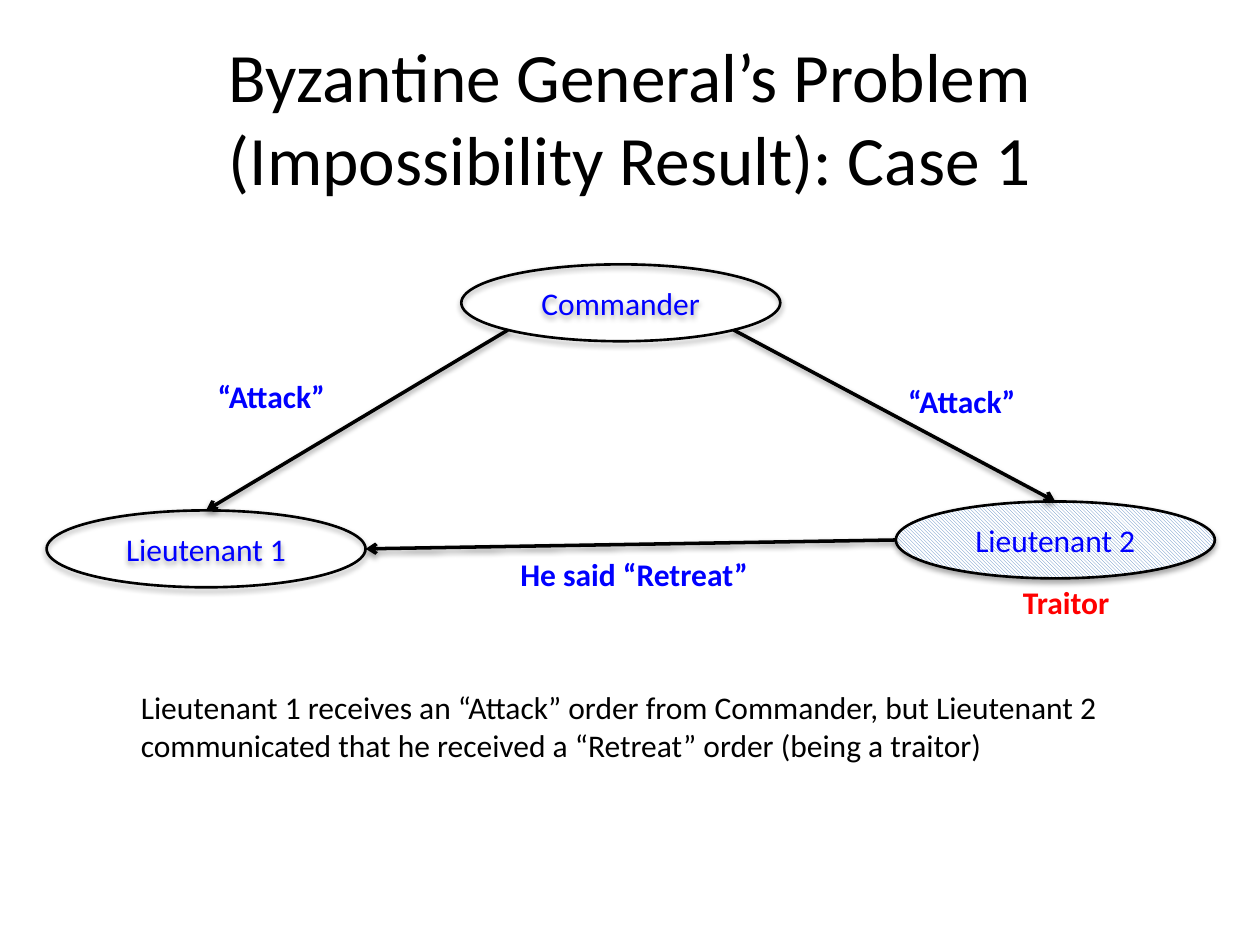
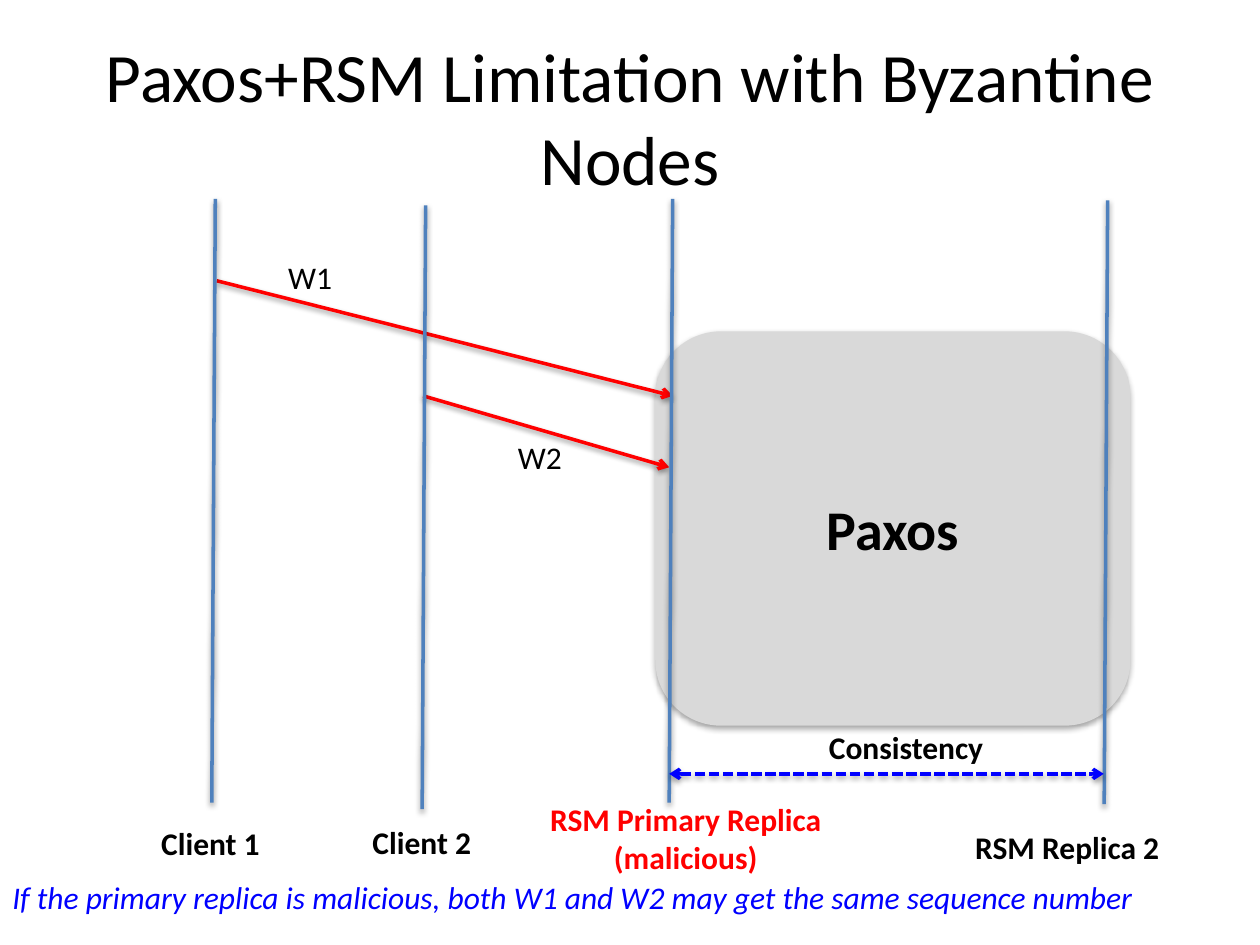
import lxml.etree
import pptx
import pptx.dml.color
import pptx.enum.dml
import pptx.enum.shapes
import pptx.enum.text
import pptx.oxml.ns
import pptx.util

Cm = pptx.util.Cm
Pt = pptx.util.Pt
ALIGN = pptx.enum.text.PP_ALIGN
ANCHOR = pptx.enum.text.MSO_ANCHOR
SHAPE = pptx.enum.shapes.MSO_SHAPE
qn = pptx.oxml.ns.qn

FONT = "Calibri"
COLORS = {
    "black": "000000",
    "white": "FFFFFF",
    "blue": "0000FF",
    "red": "FF0000",
    "steel": "4F81BD",
    "gray": "D9D9D9",
}
OVAL_SIZE = (6.43, 1.55)
OVAL_DIAGONAL = 0.146  # bounding-box fraction where an oval meets its 45° point
LIFELINE_LENGTH = 12.17
LIFELINE_SLANT = 0.07
SHAPE_SHADOW = {"dist": 23000, "alpha": 35000}
LINE_SHADOW = {"dist": 20000, "alpha": 38000}


def rgb(color):
    return pptx.dml.color.RGBColor.from_string(COLORS[color])


def add_shadow(element, dist, alpha):
    """Give a shape or connector element a soft shadow straight below it."""
    properties = element.spPr
    effects = properties.find(qn("a:effectLst"))
    if effects is None:
        effects = lxml.etree.SubElement(properties, qn("a:effectLst"))
    shadow = lxml.etree.SubElement(
        effects, qn("a:outerShdw"), blurRad="40000", dist=str(dist), dir="5400000", rotWithShape="0"
    )
    shade = lxml.etree.SubElement(shadow, qn("a:srgbClr"), val=COLORS["black"])
    lxml.etree.SubElement(shade, qn("a:alpha"), val=str(alpha))


def write_text(shape, text, color="black", align=ALIGN.LEFT, size=18, **font_values):
    """Fill a shape with text; each line of it becomes a paragraph."""
    shape.text_frame.text = text
    values = {"name": FONT, "size": Pt(size), **font_values}
    for paragraph in shape.text_frame.paragraphs:
        paragraph.alignment = align
        for run in paragraph.runs:
            run.font.color.rgb = rgb(color)
            for name, value in values.items():
                setattr(run.font, name, value)


def add_title(slide, text):
    title = slide.shapes.add_textbox(Cm(1.27), Cm(0.76), Cm(22.86), Cm(3.18))
    title.text_frame.word_wrap = True
    title.text_frame.vertical_anchor = ANCHOR.MIDDLE
    write_text(title, text, align=ALIGN.CENTER, size=39.6)


def add_label(slide, text, left, top, width, height=1.02, **text_format):
    label = slide.shapes.add_textbox(Cm(left), Cm(top), Cm(width), Cm(height))
    label.text_frame.word_wrap = False
    label.text_frame.auto_size = pptx.enum.text.MSO_AUTO_SIZE.SHAPE_TO_FIT_TEXT
    write_text(label, text, **text_format)


def add_node(slide, kind, text, left, top, width, height, **text_format):
    """Add an unfilled, shadowed shape with centred text."""
    node = slide.shapes.add_shape(kind, Cm(left), Cm(top), Cm(width), Cm(height))
    node.fill.background()
    node.line.fill.background()
    node.shadow.inherit = False
    add_shadow(node._element, **SHAPE_SHADOW)
    node.text_frame.vertical_anchor = ANCHOR.MIDDLE
    write_text(node, text, align=ALIGN.CENTER, **text_format)
    return node


def add_general(slide, name, left, top):
    general = add_node(slide, SHAPE.OVAL, name, left, top, *OVAL_SIZE, color="blue")
    general.line.color.rgb = rgb("black")
    general.line.width = Pt(1.5)
    return general


def mark_as_traitor(general):
    fill = general.fill
    fill.patterned()
    fill.pattern = pptx.enum.dml.MSO_PATTERN.LIGHT_DOWNWARD_DIAGONAL
    fill.fore_color.rgb = rgb("steel")
    fill.back_color.rgb = rgb("white")


def point_on(shape, across, down):
    """Return the point in cm at these fractions of the shape's width and height."""
    return (
        (shape.left + across * shape.width) / Cm(1),
        (shape.top + down * shape.height) / Cm(1),
    )


def add_line(slide, start, end, color="black", arrow_ends=(), dash=None):
    """Add a line; arrow_ends may name headEnd (start) and tailEnd (end)."""
    connector = slide.shapes.add_connector(
        pptx.enum.shapes.MSO_CONNECTOR.STRAIGHT, *(Cm(value) for value in (*start, *end))
    )
    connector.line.color.rgb = rgb(color)
    connector.line.width = Pt(2)
    if dash:
        connector.line.dash_style = dash
    outline = connector.line._get_or_add_ln()
    for arrow_end in arrow_ends:
        lxml.etree.SubElement(outline, qn(f"a:{arrow_end}"), type="arrow")
    add_shadow(connector._element, **LINE_SHADOW)


def add_arrow(slide, start, end, color="black"):
    add_line(slide, start, end, color, arrow_ends=("tailEnd",))


def add_lifeline(slide, left, top):
    add_line(slide, (left, top), (left - LIFELINE_SLANT, top + LIFELINE_LENGTH), "steel")


def build_generals_slide(slide):
    add_title(slide, "Byzantine General’s Problem\v(Impossibility Result): Case 1")
    commander = add_general(slide, "Commander", 9.3, 5.33)
    lieutenant_1 = add_general(slide, "Lieutenant 1", 0.94, 10.29)
    lieutenant_2 = add_general(slide, "Lieutenant 2", 18.06, 10.11)
    mark_as_traitor(lieutenant_2)

    low = 1 - OVAL_DIAGONAL
    add_arrow(slide, point_on(commander, OVAL_DIAGONAL, low), point_on(lieutenant_1, 0.5, 0))
    add_arrow(slide, point_on(commander, low, low), point_on(lieutenant_2, 0.5, 0))
    add_arrow(slide, point_on(lieutenant_2, 0, 0.5), point_on(lieutenant_1, 1, 0.5))

    for text, left, top, width, color in (
        ("Traitor", 20.37, 11.63, 2.34, "red"),
        ("“Attack”", 18.06, 7.57, 2.77, "blue"),
        ("“Attack”", 4.14, 7.47, 2.77, "blue"),
        ("He said “Retreat”", 10.24, 11.07, 5.16, "blue"),
    ):
        add_label(slide, text, left, top, width, color=color, bold=True)
    add_label(
        slide,
        "Lieutenant 1 receives an “Attack” order from Commander, but Lieutenant 2\n"
        "communicated that he received a “Retreat” order (being a traitor)",
        2.59, 13.74, 20.17, 1.8,
    )


def build_paxos_slide(slide):
    paxos = add_node(
        slide, SHAPE.ROUNDED_RECTANGLE, "Paxos", 13.21, 6.68, 9.58, 7.95, size=32, bold=True
    )
    paxos.fill.solid()
    paxos.fill.fore_color.rgb = rgb("gray")
    add_title(slide, "Paxos+RSM Limitation with Byzantine Nodes")

    add_arrow(slide, (4.37, 5.66), (13.56, 7.98), "red")
    add_arrow(slide, (8.53, 7.98), (13.49, 9.42), "red")
    for left, top in ((4.34, 4.01), (8.58, 4.14), (13.56, 4.01), (22.33, 4.04)):
        add_lifeline(slide, left, top)
    add_line(
        slide, (13.49, 15.6), (22.25, 15.6), "blue",
        arrow_ends=("headEnd", "tailEnd"), dash=pptx.enum.dml.MSO_LINE.SQUARE_DOT,
    )

    add_label(slide, "W1", 5.56, 5.08, 1.4)
    add_label(slide, "W2", 10.19, 8.71, 1.4)
    for text, left, top, width in (
        ("Client 1", 3, 16.48, 2.51),
        ("Client 2", 7.26, 16.46, 2.51),
        ("RSM Replica 2", 19.41, 16.56, 4.29),
        ("Consistency", 16.46, 14.55, 3.68),
    ):
        add_label(slide, text, left, top, width, bold=True)
    add_label(
        slide, "RSM Primary Replica\n(malicious)", 10.8, 16, 6.05, 1.8,
        color="red", align=ALIGN.CENTER, bold=True,
    )
    add_label(
        slide,
        "If the primary replica is malicious, both W1 and W2 may get the same sequence number",
        0, 17.58, 23.27, color="blue", italic=True,
    )


def main():
    presentation = pptx.Presentation()
    presentation.slide_width = Cm(25.4)
    presentation.slide_height = Cm(19.05)
    blank_layout = presentation.slide_layouts[6]
    for build_slide in (build_generals_slide, build_paxos_slide):
        build_slide(presentation.slides.add_slide(blank_layout))
    presentation.save("out.pptx")


if __name__ == "__main__":
    main()
